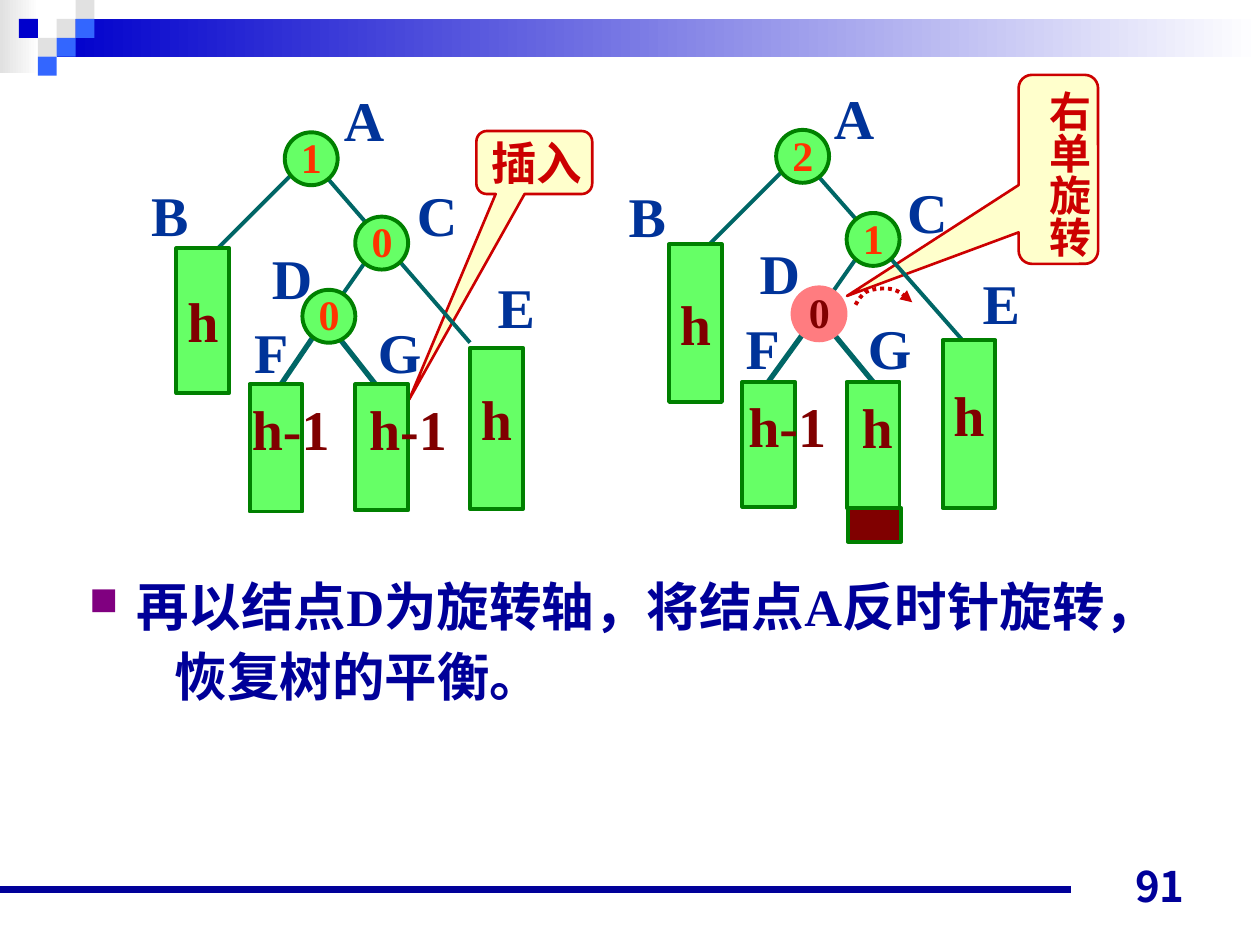
from dataclasses import dataclass
from typing import NamedTuple

import pptx
import pptx.dml.color
import pptx.enum.dml
import pptx.enum.shapes
import pptx.enum.text
import pptx.oxml
import pptx.oxml.ns
import pptx.util
from lxml import etree

Pt = pptx.util.Pt
RGB = pptx.dml.color.RGBColor
Kind = pptx.enum.shapes.MSO_SHAPE
Align = pptx.enum.text.PP_ALIGN
Anchor = pptx.enum.text.MSO_ANCHOR
qn = pptx.oxml.ns.qn

WHITE = RGB(0xFF, 0xFF, 0xFF)
GREY = RGB(0xE1, 0xE1, 0xE1)
BLUE = RGB(0x00, 0x00, 0xCC)
SKY = RGB(0x33, 0x66, 0xFF)
NAVY = RGB(0x00, 0x00, 0x99)
LABEL = RGB(0x00, 0x33, 0x99)
TEAL = RGB(0x00, 0x66, 0x66)
LIME = RGB(0x66, 0xFF, 0x66)
GREEN = RGB(0x00, 0x80, 0x00)
PINK = RGB(0xFF, 0x7C, 0x80)
CREAM = RGB(0xFF, 0xFF, 0xCC)
RED = RGB(0xCC, 0x00, 0x00)
ORANGE = RGB(0xFF, 0x33, 0x00)
MAROON = RGB(0x80, 0x00, 0x00)
SERIF, SANS = "Times New Roman", "Noto Sans CJK JP"
SIDE = 30.24  # width of every node and subtree
WIDE = dict(A=37.4, B=35.3, C=37.4, D=37.4, E=35.3, F=33.8, G=38.9)


class Node(NamedTuple):
    x: float
    y: float
    count: str
    fill: RGB = LIME
    edge: RGB = GREEN
    ink: RGB = ORANGE


class Sub(NamedTuple):
    x: float
    y: float
    high: float
    text: str = ""
    lead: float = 1
    fill: RGB = LIME


class Edge(NamedTuple):
    x1: float
    y1: float
    x2: float
    y2: float
    width: float = 2.25
    top: int = -1  # index of the subtree whose top is joined


class Note(NamedTuple):
    text: str
    size: float
    at: tuple
    frame: tuple
    tip: tuple
    vert: bool = False


@dataclass
class Tree:
    note: Note
    edges: list
    subs: list
    nodes: list
    names: dict
    sizes: list  # height captions as (x, y, width, text)


TREES = [
    Tree(
        Note("插入", 26, (273.6, 73.4, 72, 38.9), (272.2, 74.9, 66.2, 36), (-1.08, 3.76)),
        [Edge(185, 183.6, 160.6, 219.6, 3), Edge(190.8, 189.4, 214.6, 219.6, 3),
         Edge(167, 99.4, 113, 153.4), Edge(185, 99.4, 268.6, 195.8),
         Edge(210.2, 147.6, 185, 183.6)],
        [Sub(100.8, 141.8, 82.8, "h"), Sub(268.6, 198.7, 92.2, "h", 0.6),
         Sub(142.6, 219.6, 72.7), Sub(203, 219.6, 72)],
        [Node(162.7, 75.6, "1"), Node(203, 123.8, "0"), Node(172.8, 165.6, "0")],
        dict(A=(189.4, 45.4), B=(79.2, 99.4), C=(231.1, 99.4), D=(148.3, 135.4),
             E=(277.2, 151.9), F=(138.2, 177.8), G=(208.8, 177.8)),
        [(136.8, 221.8, 59, "h-1"), (203.8, 221.8, 59, "h-1")]),
    Tree(
        Note("右单旋转", 24, (585.4, 44.6, 43.2, 103.7), (582.1, 42.8, 45.4, 108),
             (-2.66, 0.67), True),
        [Edge(465.1, 182.2, 434.9, 223.9, 3), Edge(474.5, 188.6, 498.9, 218.2, 3, 3),
         Edge(447.1, 97.9, 393.1, 151.9), Edge(465.1, 97.9, 549.4, 193.7),
         Edge(490.3, 146.2, 465.1, 182.2)],
        [Sub(382.3, 139.7, 90, "h"), Sub(538.6, 194.4, 95.8, "h", 0.6),
         Sub(424.1, 218.2, 71.3), Sub(483.8, 218.2, 72),
         Sub(484.6, 290.2, 19.4, fill=MAROON)],
        [Node(443.5, 74.2, "2"), Node(483.8, 121.7, "1"),
         Node(452.9, 164.2, "0", PINK, PINK, MAROON)],
        dict(A=(469.4, 43.9), B=(352.1, 100.1), C=(511.2, 97.9), D=(427, 132.5),
             E=(554.4, 149.8), F=(419, 175.7), G=(488.9, 175.7)),
        [(420.5, 220.3, 59, "h-1"), (485.3, 221, 32.4, "h")]),
]


def write(shape, *parts, size=32, color=MAROON, font=SERIF, align=Align.LEFT,
          anchor=Anchor.TOP, lead=1.0, wrap=False):
    """Fill a shape with one bold paragraph made of the given runs."""
    frame = shape.text_frame
    frame.word_wrap, frame.vertical_anchor = wrap, anchor
    para = frame.paragraphs[0]
    para.alignment, para.line_spacing = align, lead
    for part in parts:
        run = para.add_run()
        run.text = part
        run.font.size, run.font.bold, run.font.name = Pt(size), True, font
        run.font.color.rgb = color
        east = etree.SubElement(run.font._element, qn("a:ea"))
        east.set("typeface", SANS)
    return para


def label(slide, x: float, y: float, w: float, h: float, *parts, **form):
    box = slide.shapes.add_textbox(Pt(x), Pt(y), Pt(w), Pt(h))
    return box, write(box, *parts, **form)


def block(slide, kind, x: float, y: float, w: float, h: float, fill=None,
          edge=None, width: float = 2.25):
    shape = slide.shapes.add_shape(kind, Pt(x), Pt(y), Pt(w), Pt(h))
    shape.shadow.inherit = False
    if isinstance(fill, tuple) and not isinstance(fill, RGB):
        shape.fill.gradient()
        shape.fill.gradient_angle = 180
        for stop, color in zip(shape.fill.gradient_stops, fill):
            stop.color.rgb = color
    else:
        shape.fill.solid()
        shape.fill.fore_color.rgb = fill
    if edge is None:
        shape.line.fill.background()
    else:
        shape.line.color.rgb, shape.line.width = edge, Pt(width)
    return shape


def link(slide, edge: Edge, color: RGB = TEAL):
    line = slide.shapes.add_connector(
        pptx.enum.shapes.MSO_CONNECTOR.STRAIGHT, *map(Pt, edge[:4]))
    line.line.color.rgb, line.line.width = color, Pt(edge.width)
    etree.SubElement(line._element.spPr, qn("a:effectLst"))
    return line


def draw(slide, tree: Tree):
    # Callout
    note = tree.note
    call = block(slide, Kind.ROUNDED_RECTANGULAR_CALLOUT, *note.frame, CREAM, RED, 1.5)
    call.adjustments[0], call.adjustments[1] = note.tip
    box, _ = label(slide, *note.at, note.text, size=note.size, color=RED)
    if note.vert:
        body = box.text_frame
        body._txBody.bodyPr.set("vert", "eaVert")
        body.margin_left = body.margin_right = Pt(3.6)
        body.margin_top = body.margin_bottom = Pt(3.6)
    # Edges, subtrees and nodes
    lines = [link(slide, edge) for edge in tree.edges]
    boxes = []
    for sub in tree.subs:
        shape = block(slide, Kind.RECTANGLE, sub.x, sub.y, SIDE, sub.high, sub.fill, GREEN)
        if sub.text:
            write(shape, sub.text, align=Align.CENTER, anchor=Anchor.MIDDLE, lead=sub.lead)
        boxes.append(shape)
    for edge, line in zip(tree.edges, lines):
        if edge.top >= 0:
            line.end_connect(boxes[edge.top], 0)
    for node in tree.nodes:
        block(slide, Kind.OVAL, node.x, node.y, SIDE, SIDE, node.fill, node.edge)
        label(slide, node.x + 2.2, node.y - 4, 26, 36, node.count, size=24, color=node.ink)
    # Names and heights
    for name, (x, y) in tree.names.items():
        label(slide, x, y, WIDE[name], 46, name, color=LABEL)
    for x, y, w, text in tree.sizes:
        label(slide, x, y, w, 46, text)


def turn(slide):
    """Draw the dotted arrow that shows the rotation."""
    start = last = (488.9, 174.2)
    curves = [((490.3, 171.4), (492.5, 168.5), (494.6, 167)),
              ((497.5, 165.6), (501.1, 164.9), (504, 164.9)),
              ((506.9, 164.9), (509.8, 164.9), (512.6, 166.3)),
              ((515.5, 167), (519.8, 172.1), (521.3, 172.8))]
    dots = []
    for one, two, end in curves:
        for t in (0.25, 0.5, 0.75, 1):
            s = 1 - t
            dots.append(tuple(
                Pt(s**3 * a + 3 * s * s * t * b + 3 * s * t * t * c + t**3 * d)
                for a, b, c, d in zip(last, one, two, end)))
        last = end
    path = slide.shapes.build_freeform(*map(Pt, start))
    path.add_line_segments(dots, close=False)
    arc = path.convert_to_shape()
    arc.shadow.inherit = False
    arc.fill.background()
    arc.line.color.rgb, arc.line.width = RED, Pt(2.25)
    arc.line.dash_style = pptx.enum.dml.MSO_LINE.ROUND_DOT
    etree.SubElement(arc.line._get_or_add_ln(), qn("a:tailEnd")).set("type", "triangle")


def main():
    deck = pptx.Presentation()
    deck.slide_width, deck.slide_height = Pt(720), Pt(540)
    slide = deck.slides.add_slide(deck.slide_layouts[6])

    # Banner and footer rule
    block(slide, Kind.RECTANGLE, 0, 0, 22.3, 41.8, (WHITE, GREY))
    block(slide, Kind.RECTANGLE, 32.4, 10.8, 687.6, 21.6, (WHITE, BLUE))
    unit = 10.8
    for col, row, color in [(3, 1, GREY), (4, 0, GREY), (4, 1, SKY), (2, 2, GREY),
                            (1, 1, BLUE), (3, 2, SKY), (2, 3, SKY)]:
        block(slide, Kind.RECTANGLE, col * unit, row * unit, unit, unit, color)
    link(slide, Edge(0, 508.3, 612, 508.3, 4.5), NAVY)

    # Trees before and after the insertion
    for tree in TREES:
        draw(slide, tree)
    turn(slide)

    # Bulleted text, with a widened space after the comma
    box, para = label(slide, 43.9, 321.1, 648, 192.2, "再以结点D为旋转轴，将结点A反时针旋转，",
                      " ", "恢复树的平衡。", size=30, color=NAVY, lead=1.1, wrap=True)
    box.text_frame.margin_right = Pt(43.2)
    para.runs[1].font._element.set("spc", "1500")
    props = para._p.get_or_add_pPr()
    props.set("marL", str(Pt(27)))
    props.set("indent", str(Pt(-27)))
    tint = etree.SubElement(props, qn("a:buClr"))
    etree.SubElement(tint, qn("a:srgbClr")).set("val", "800080")
    for tag, key, value in [("a:buSzPct", "val", "75000"),
                            ("a:buFont", "typeface", "Wingdings"),
                            ("a:buChar", "char", "n")]:
        etree.SubElement(props, qn(tag)).set(key, value)

    # Page number
    label(slide, 516.2, 488.2, 167.8, 36, "91", size=24, color=NAVY, font=SANS,
          align=Align.RIGHT, anchor=Anchor.BOTTOM, wrap=True)
    deck.save("out.pptx")


if __name__ == "__main__":
    main()
